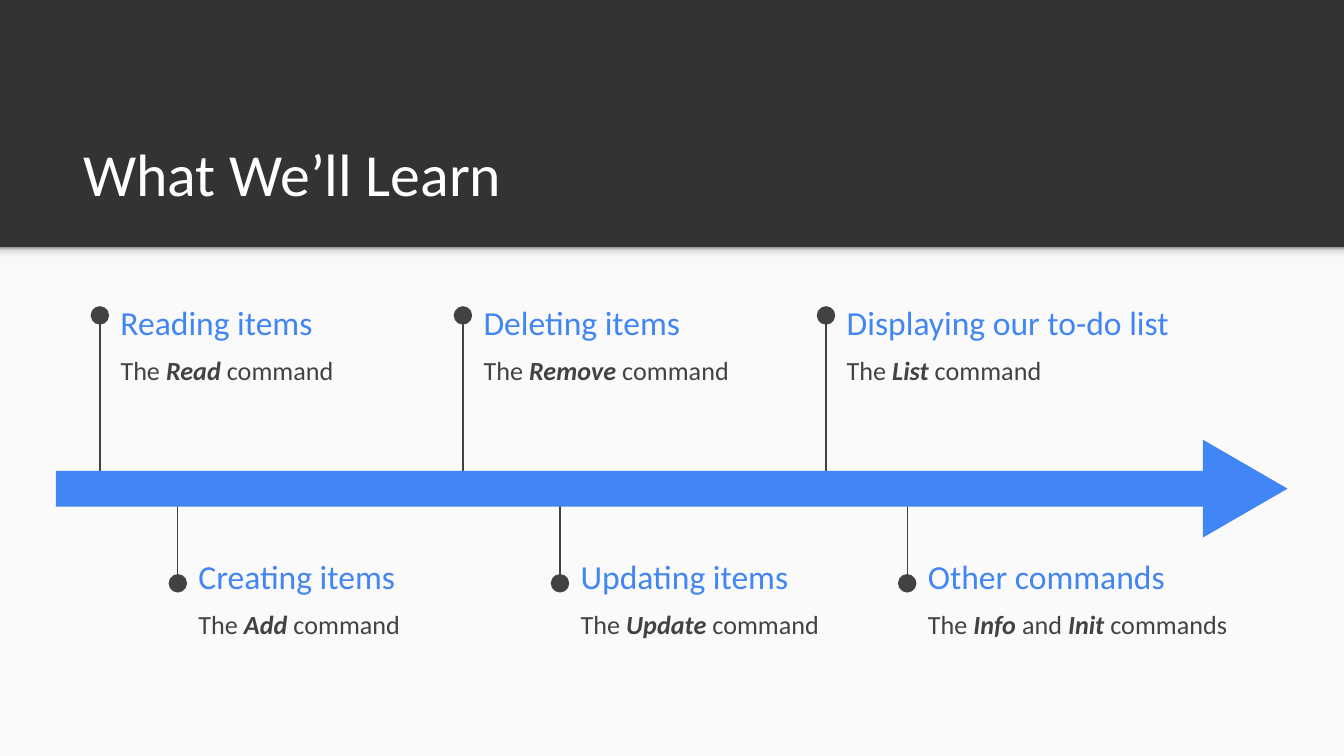
from lxml import etree
from pptx import Presentation
from pptx.dml.color import RGBColor
from pptx.enum import shapes, text
from pptx.oxml import parse_xml
from pptx.oxml.ns import nsdecls, qn
from pptx.util import Pt

# Content: stem x, heading width, body width, heading, body parts (every second one emphasised)
TITLE = "What We’ll Learn"
ABOVE = [
    (53.5, 174, 143, "Reading items", ["The ", "Read", " command"]),
    (248, 174, 187, "Deleting items", ["The ", "Remove", " command"]),
    (442.5, 198, 143, "Displaying our to-do list", ["The ", "List", " command"]),
]
BELOW = [
    (95.25, 183, 143, "Creating items", ["The ", "Add", " command"]),
    (300, 195, 143, "Updating items", ["The ", "Update", " command"]),
    (486, 195, 182, "Other commands", ["The ", "Info", " and ", "Init", " commands"]),
]
# Stem tip and heading top for each side of the arrow
SIDES = [(ABOVE, 169, 157), (BELOW, 312.5, 293)]

THEME = {
    "font": "Calibri",
    "dark": "333333", "paper": "FAFAFA", "ink": "424242", "accent": "4285F4", "white": "FFFFFF",
    "shade": [(0, "F9F9F9"), (36, "F9F9F9"), (80, "DEDEDE"), (100, "999999")],
    "title": 32, "heading": 18, "body": 14,
}
WIDTH, HEIGHT = 720, 405
BAND_BOTTOM = 132.5
BAR_TOP, BAR_HEIGHT = 252.2, 19.2
MIDDLE = BAR_TOP + BAR_HEIGHT / 2

deck = Presentation()
deck.slide_width, deck.slide_height = Pt(WIDTH), Pt(HEIGHT)
slide = deck.slides.add_slide(deck.slide_layouts[6])


def color(name):
    return RGBColor.from_string(THEME[name])


def add_block(kind, left, top, width, height, fill):
    block = slide.shapes.add_shape(kind, Pt(left), Pt(top), Pt(width), Pt(height))
    block.shadow.inherit = False
    block.line.fill.background()
    block.fill.solid()
    block.fill.fore_color.rgb = color(fill)
    return block


def add_text(left, top, width, height, parts, size, ink, anchor):
    frame = slide.shapes.add_textbox(Pt(left), Pt(top), Pt(width), Pt(height)).text_frame
    frame.word_wrap = True
    frame.vertical_anchor = anchor
    frame.margin_left = frame.margin_right = frame.margin_top = frame.margin_bottom = Pt(7.2)
    paragraph = frame.paragraphs[0]
    paragraph.font.name = THEME["font"]
    paragraph.font.size = Pt(THEME[size])
    paragraph.font.color.rgb = color(ink)
    for index, part in enumerate(parts):
        run = paragraph.add_run()
        run.text = part
        if index % 2:
            run.font.bold = run.font.italic = True
    return paragraph


def add_stem(x, tip):
    stem = slide.shapes.add_connector(
        shapes.MSO_CONNECTOR.STRAIGHT, Pt(x), Pt(MIDDLE), Pt(x), Pt(tip))
    stem.line.color.rgb = color("ink")
    stem.line.width = Pt(0.75)
    etree.SubElement(stem.line._get_or_add_ln(), qn("a:tailEnd"), type="oval", w="lg", len="lg")
    etree.SubElement(stem._element.spPr, qn("a:effectLst"))


# Dark title band, light page and the shade under the band
slide.background.fill.solid()
slide.background.fill.fore_color.rgb = color("dark")
RECTANGLE = shapes.MSO_SHAPE.RECTANGLE
add_block(RECTANGLE, 0, BAND_BOTTOM, WIDTH, HEIGHT - BAND_BOTTOM, "paper")
shade = add_block(RECTANGLE, 0, BAND_BOTTOM, WIDTH, 8.6, "paper")
stops = "".join(f'<a:gs pos="{at * 1000}"><a:srgbClr val="{rgb}"/></a:gs>'
                for at, rgb in THEME["shade"])
gradient = parse_xml(f'<a:gradFill {nsdecls("a")}><a:gsLst>{stops}</a:gsLst>'
                     '<a:lin ang="16200000" scaled="0"/></a:gradFill>')
solid = shade._element.spPr.find(qn("a:solidFill"))
solid.getparent().replace(solid, gradient)
add_text(37.5, 58.3, 647, 60.5, [TITLE], "title", "white", text.MSO_ANCHOR.BOTTOM)

# Milestones on both sides of the arrow
for milestones, tip, top in SIDES:
    for x, heading_width, body_width, heading, body in milestones:
        add_stem(x, tip)
        add_text(x + 4, top, heading_width, 31, [heading], "heading", "accent",
                 text.MSO_ANCHOR.MIDDLE)
        command = add_text(x + 4, top + 23, body_width, 45, body, "body", "ink",
                           text.MSO_ANCHOR.TOP)
        command.line_spacing = 1.15
        command.space_after = Pt(16)

# Timeline arrow
add_block(RECTANGLE, 30, BAR_TOP, 622, BAR_HEIGHT, "accent")
head = add_block(shapes.MSO_SHAPE.ISOSCELES_TRIANGLE, 640.8, MIDDLE - 22.7, 52.5, 45.4, "accent")
head.rotation = 90

deck.save("out.pptx")
